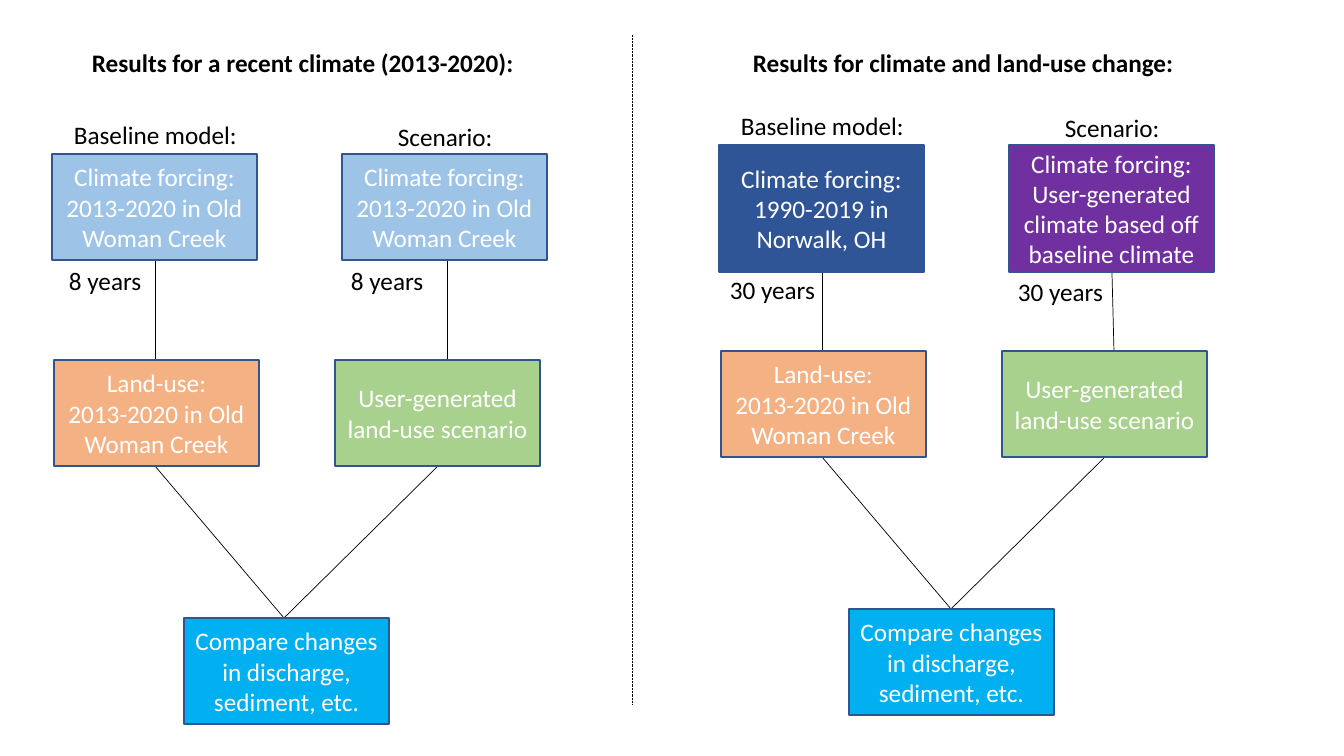
from dataclasses import dataclass

from lxml import etree
from pptx import Presentation
from pptx.dml.color import RGBColor
from pptx.enum.dml import MSO_LINE
from pptx.enum.shapes import MSO_CONNECTOR, MSO_SHAPE
from pptx.enum.text import MSO_ANCHOR, MSO_AUTO_SIZE, PP_ALIGN
from pptx.oxml.ns import qn
from pptx.slide import Slide
from pptx.text.text import TextFrame
from pptx.util import Pt

RECTANGLE = MSO_SHAPE.RECTANGLE
STRAIGHT = MSO_CONNECTOR.STRAIGHT
DOTTED = MSO_LINE.ROUND_DOT
MIDDLE = MSO_ANCHOR.MIDDLE
FIT_SHAPE = MSO_AUTO_SIZE.SHAPE_TO_FIT_TEXT
LEFT = PP_ALIGN.LEFT
CENTER = PP_ALIGN.CENTER

BLACK = RGBColor(0x00, 0x00, 0x00)
WHITE = RGBColor(0xFF, 0xFF, 0xFF)
OUTLINE = RGBColor(0x32, 0x54, 0x91)
LIGHT_BLUE = RGBColor(0x9D, 0xC3, 0xE6)
DARK_BLUE = RGBColor(0x2F, 0x55, 0x97)
PURPLE = RGBColor(0x70, 0x30, 0xA0)
ORANGE = RGBColor(0xF4, 0xB1, 0x83)
GREEN = RGBColor(0xA9, 0xD1, 0x8E)
CYAN = RGBColor(0x00, 0xB0, 0xF0)

EMU_PER_PIXEL = 914400 / 100.8
SLIDE_WIDTH, SLIDE_HEIGHT = 1344, 756
BOX_WIDTH, BOX_HEIGHT = 205, 106
LABEL_HEIGHT = 40
FORCING_TOP, LAND_USE_TOP, COMPARE_TOP = 154, 360, 618
LAND_USE_BOTTOM = LAND_USE_TOP + BOX_HEIGHT
STEM_X, MERGE_X = 155, 284
RECENT_CLIMATE = "2013-2020 in Old Woman Creek"


@dataclass(frozen=True)
class Label:
    text: str
    left: int
    top: int
    width: int
    bold: bool = False


@dataclass(frozen=True)
class Box:
    lines: tuple[str, ...]
    left: int
    top: int
    fill: RGBColor
    height: int = BOX_HEIGHT


@dataclass(frozen=True)
class Panel:
    left: int
    top: int
    title: Label
    forcing_height: int
    forcings: tuple[tuple[str, RGBColor], ...]
    durations: tuple[Label, ...]
    scenario_stem_x: int
    compare_left: int


HEADINGS = (
    Label("Baseline model:", 64, 114, 185),
    Label("Scenario:", 388, 116, 116),
)
FORCING_LEFTS = (52, 342)
LAND_USES = (
    Box(("Land-use:", RECENT_CLIMATE), 54, LAND_USE_TOP, ORANGE),
    Box(("User-generated land-use scenario",), 335, LAND_USE_TOP, GREEN),
)
PANELS = (
    Panel(
        0, 0, Label("Results for a recent climate (2013-2020):", 82, 42, 446, True),
        BOX_HEIGHT,
        ((RECENT_CLIMATE, LIGHT_BLUE), (RECENT_CLIMATE, LIGHT_BLUE)),
        (Label("8 years", 59, 260, 94), Label("8 years", 341, 260, 94)),
        447, 184,
    ),
    Panel(
        667, -9, Label("Results for climate and land-use change:", 76, 51, 445, True),
        127,
        (
            ("1990-2019 in Norwalk, OH", DARK_BLUE),
            ("User-generated climate based off baseline climate", PURPLE),
        ),
        (Label("30 years", 53, 278, 107), Label("30 years", 341, 280, 107)),
        445, 182,
    ),
)


def px(pixels: int) -> int:
    return round(pixels * EMU_PER_PIXEL)


def write_lines(frame: TextFrame, lines: tuple[str, ...], color: RGBColor,
                alignment: PP_ALIGN, bold: bool = False) -> None:
    frame.text = "\n".join(lines)
    for paragraph in frame.paragraphs:
        paragraph.alignment = alignment
        paragraph.font.name = "Calibri"
        paragraph.font.size = Pt(18)
        paragraph.font.bold = bold
        paragraph.font.color.rgb = color


def draw_label(slide: Slide, label: Label, left: int, top: int) -> None:
    text_box = slide.shapes.add_textbox(
        px(left + label.left), px(top + label.top), px(label.width), px(LABEL_HEIGHT))
    frame = text_box.text_frame
    frame.word_wrap = False
    frame.auto_size = FIT_SHAPE
    write_lines(frame, (label.text,), BLACK, LEFT, label.bold)


def draw_box(slide: Slide, box: Box, left: int, top: int) -> None:
    shape = slide.shapes.add_shape(
        RECTANGLE, px(left + box.left), px(top + box.top), px(BOX_WIDTH), px(box.height))
    shape.shadow.inherit = False
    shape.fill.solid()
    shape.fill.fore_color.rgb = box.fill
    shape.line.color.rgb = OUTLINE
    shape.line.width = Pt(1)
    frame = shape.text_frame
    frame.word_wrap = True
    frame.vertical_anchor = MIDDLE
    write_lines(frame, box.lines, WHITE, CENTER)


def draw_line(slide: Slide, start: tuple[int, int], end: tuple[int, int],
              left: int = 0, top: int = 0, dotted: bool = False) -> None:
    connector = slide.shapes.add_connector(
        STRAIGHT, px(left + start[0]), px(top + start[1]),
        px(left + end[0]), px(top + end[1]))
    connector.line.color.rgb = BLACK
    connector.line.width = Pt(0.5)
    if dotted:
        connector.line.dash_style = DOTTED
    etree.SubElement(connector._element.spPr, qn("a:effectLst"))


def draw_panel(slide: Slide, panel: Panel) -> None:
    left, top = panel.left, panel.top
    forcing_bottom = FORCING_TOP + panel.forcing_height
    forcings = tuple(
        Box(("Climate forcing:", text), box_left, FORCING_TOP, fill, panel.forcing_height)
        for box_left, (text, fill) in zip(FORCING_LEFTS, panel.forcings))
    compare = Box(("Compare changes in discharge, sediment, etc.",),
                  panel.compare_left, COMPARE_TOP, CYAN)
    merge = (MERGE_X, COMPARE_TOP)
    lines = (
        ((STEM_X, forcing_bottom), (STEM_X, LAND_USE_TOP)),
        ((panel.scenario_stem_x, forcing_bottom), (447, LAND_USE_TOP)),
        ((STEM_X, LAND_USE_BOTTOM), merge),
        ((438, LAND_USE_BOTTOM), merge),
    )
    for start, end in lines:
        draw_line(slide, start, end, left, top)
    for box in (*forcings, *LAND_USES, compare):
        draw_box(slide, box, left, top)
    for label in (panel.title, *HEADINGS, *panel.durations):
        draw_label(slide, label, left, top)


def main() -> None:
    presentation = Presentation()
    presentation.slide_width = px(SLIDE_WIDTH)
    presentation.slide_height = px(SLIDE_HEIGHT)
    slide = presentation.slides.add_slide(presentation.slide_layouts[6])
    draw_line(slide, (632, 35), (632, 704), dotted=True)
    for panel in PANELS:
        draw_panel(slide, panel)
    presentation.save("out.pptx")


main()
